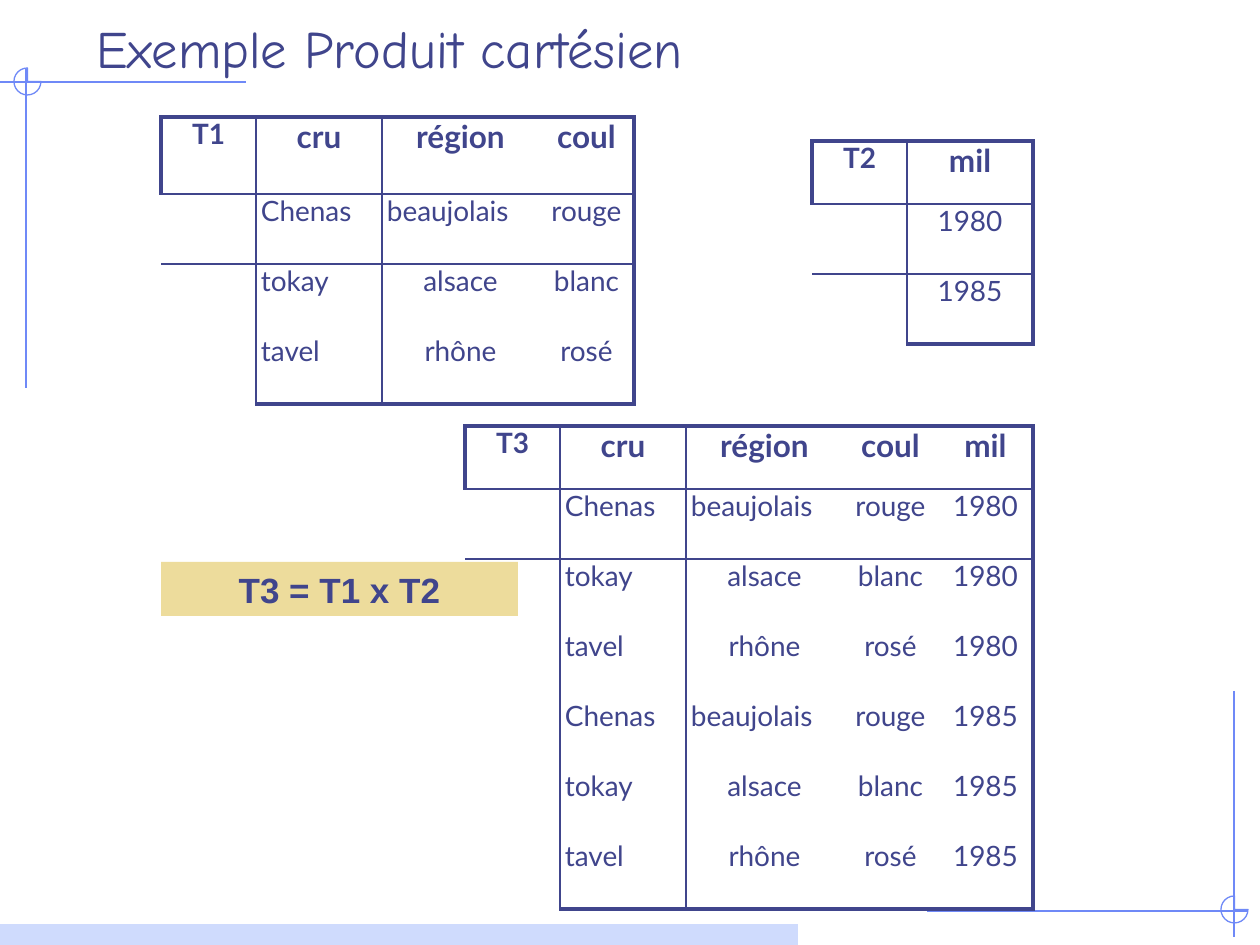
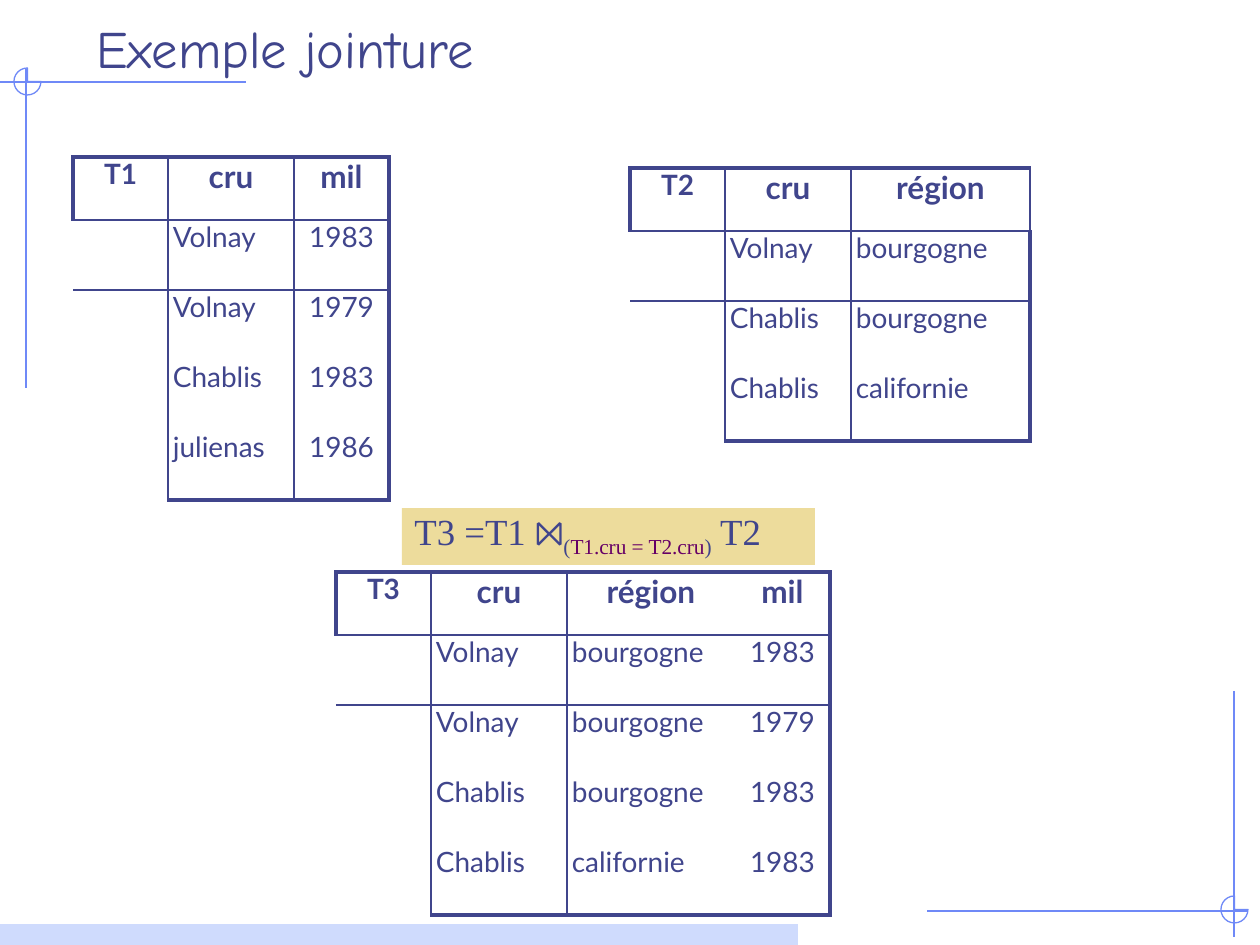
import pptx
import pptx.dml.color
import pptx.enum.shapes
import pptx.enum.text
import pptx.oxml
import pptx.oxml.ns
import pptx.util

SHAPE = pptx.enum.shapes.MSO_SHAPE
ALIGN = pptx.enum.text.PP_ALIGN
ANCHOR = pptx.enum.text.MSO_ANCHOR

SLIDES = [
    {
        "title": "Exemple Produit cartésien",
        "relations": [
            {"at": (161, 117), "widths": (95, 126, 157, 95), "header_height": 77,
             "rows": [("T1", "cru", "région", "coul"),
                      ("", "Chenas", "beaujolais", "rouge"),
                      ("", "tokay", "alsace", "blanc"),
                      ("", "tavel", "rhône", "rosé")]},
            {"at": (812, 141), "widths": (95, 126),
             "rows": [("T2", "mil"), ("", "1980"), ("", "1985")]},
            {"at": (465, 426), "widths": (95, 126, 157, 95, 95),
             "rows": [("T3", "cru", "région", "coul", "mil"),
                      ("", "Chenas", "beaujolais", "rouge", "1980"),
                      ("", "tokay", "alsace", "blanc", "1980"),
                      ("", "tavel", "rhône", "rosé", "1980"),
                      ("", "Chenas", "beaujolais", "rouge", "1985"),
                      ("", "tokay", "alsace", "blanc", "1985"),
                      ("", "tavel", "rhône", "rosé", "1985")]},
        ],
        "formula": {"at": (161, 562, 357, 54), "align": ALIGN.CENTER, "anchor": ANCHOR.TOP,
                    "runs": [("T3 = T1 x T2", "product")]},
    },
    {
        "title": "Exemple jointure",
        "relations": [
            {"at": (73, 157), "widths": (95, 126, 95),
             "rows": [("T1", "cru", "mil"),
                      ("", "Volnay", "1983"),
                      ("", "Volnay", "1979"),
                      ("", "Chablis", "1983"),
                      ("", "julienas", "1986")]},
            {"at": (630, 168), "widths": (95, 126, 179), "header_right": 1,
             "rows": [("T2", "cru", "région"),
                      ("", "Volnay", "bourgogne"),
                      ("", "Chablis", "bourgogne"),
                      ("", "Chablis", "californie")]},
            {"at": (336, 572), "widths": (95, 136, 168, 95),
             "rows": [("T3", "cru", "région", "mil"),
                      ("", "Volnay", "bourgogne", "1983"),
                      ("", "Volnay", "bourgogne", "1979"),
                      ("", "Chablis", "bourgogne", "1983"),
                      ("", "Chablis", "californie", "1983")]},
        ],
        "formula": {"at": (402, 508, 413, 57), "align": ALIGN.LEFT, "anchor": ANCHOR.BOTTOM,
                    "runs": [("T3 =T1 ", "join"), ("⨝", "join_sign"), ("(", "subscript"),
                             ("T1.cru = T2.cru", "condition"), (")", "subscript"),
                             (" T2", "join")]},
    },
]
JUSTIFIED_COLUMNS = ("cru", "région")
CENTRED_REGIONS = ("alsace", "rhône")

GUIDES = [(246, 82, 0, 82), (26, 69, 26, 388), (1234, 691, 1234, 937), (1247, 911, 927, 911)]
DIALS = [(14, 68, 27, 27), (1221, 896, 27, 27)]
FOOTER_BAND = (0, 924, 798, 21)
TITLE_AREA = (84, 1, 1144, 84)
HEADER_HEIGHT, ROW_HEIGHT, CELL_INSET = 63, 70, 5

THEME = {
    "ink": "40458C", "guide": "6F89F7", "band": "CFDBFD", "formula": "EDDC9C",
    "thick": 2.25, "thin": 1, "guide_width": 0.75,
    "table_style": "{2D5ABB26-0587-4C30-8999-92F81FD0307C}",
    "type": {
        "title": {"name": "Comic Neue", "size": 30},
        "label": {"name": "Lato", "size": 16, "bold": True},
        "heading": {"name": "Lato", "size": 18, "bold": True},
        "value": {"name": "Lato", "size": 16},
        "product": {"name": "Arial", "size": 20, "bold": True},
        "join": {"name": "Times New Roman", "size": 21},
        "join_sign": {"name": "Cambria", "size": 20},
        "subscript": {"name": "Times New Roman", "size": 21, "baseline": -25000},
        "condition": {"name": "Times New Roman", "size": 21, "baseline": -25000,
                      "color": "660066"},
    },
}


def px(*lengths):
    return [round(length * 914400 / 126) for length in lengths]


def rgb(code):
    return pptx.dml.color.RGBColor.from_string(code)


def set_all(target, values):
    for key, value in values.items():
        setattr(target, key, value)


def write(frame, runs, align):
    paragraph = frame.paragraphs[0]
    paragraph.alignment = align
    for text, role in runs:
        style = dict(THEME["type"][role])
        color = style.pop("color", THEME["ink"])
        baseline = style.pop("baseline", None)
        style["size"] = pptx.util.Pt(style["size"])
        run = paragraph.add_run()
        run.text = text
        set_all(run.font, style)
        run.font.color.rgb = rgb(color)
        if baseline:
            run.font._element.set("baseline", str(baseline))


def draw_shape(slide, kind, area, fill=None, line=None):
    shape = slide.shapes.add_shape(kind, *px(*area))
    shape.shadow.inherit = False
    if fill:
        shape.fill.solid()
        shape.fill.fore_color.rgb = rgb(fill)
    else:
        shape.fill.background()
    if line:
        shape.line.color.rgb = rgb(line)
        shape.line.width = pptx.util.Pt(THEME["guide_width"])
    else:
        shape.line.fill.background()
    return shape


def draw_frame(slide, title):
    for guide in GUIDES:
        line = slide.shapes.add_connector(pptx.enum.shapes.MSO_CONNECTOR.STRAIGHT, *px(*guide))
        line.line.color.rgb = rgb(THEME["guide"])
        line.line.width = pptx.util.Pt(THEME["guide_width"])
        effects = pptx.oxml.ns.qn("a:effectLst")
        line._element.spPr.append(line._element.makeelement(effects, {}))
    for dial in DIALS:
        draw_shape(slide, SHAPE.PIE, dial, line=THEME["guide"])
    draw_shape(slide, SHAPE.RECTANGLE, FOOTER_BAND, fill=THEME["band"])
    heading = slide.shapes.add_textbox(*px(*TITLE_AREA)).text_frame
    set_all(heading, {"word_wrap": True, "vertical_anchor": ANCHOR.BOTTOM})
    write(heading, [(title, "title")], ALIGN.LEFT)


def vertical_rule(row, edge, column_count, header_right):
    if edge == 0:
        return THEME["thick"] if row == 0 else 0
    if edge == column_count:
        return header_right if row == 0 else THEME["thick"]
    return THEME["thin"] if edge <= 2 else 0


def horizontal_rule(edge, column, row_count):
    if edge == 0:
        return THEME["thick"]
    if edge == row_count:
        return THEME["thick"] if column else 0
    return THEME["thin"] if edge <= 2 else 0


def draw_borders(cell, widths):
    properties = cell._tc.get_or_add_tcPr()
    for side, width in widths.items():
        fill = (f'<a:solidFill><a:srgbClr val="{THEME["ink"]}"/></a:solidFill>'
                if width else "<a:noFill/>")
        properties.append(pptx.oxml.parse_xml(
            f'<a:ln{side} {pptx.oxml.ns.nsdecls("a")} w="{pptx.util.Pt(width)}">'
            f"{fill}</a:ln{side}>"))


def draw_relation(slide, relation):
    rows, widths = relation["rows"], relation["widths"]
    header_right = relation.get("header_right", THEME["thick"])
    heights = [relation.get("header_height", HEADER_HEIGHT)] + [ROW_HEIGHT] * (len(rows) - 1)
    frame = slide.shapes.add_table(len(rows), len(widths),
                                   *px(*relation["at"], sum(widths), sum(heights)))
    table = frame.table
    set_all(table, {"first_row": False, "horz_banding": False})
    for style in frame._element.iter(pptx.oxml.ns.qn("a:tableStyleId")):
        style.text = THEME["table_style"]
    for column, width in zip(table.columns, px(*widths)):
        column.width = width
    for row, height in zip(table.rows, px(*heights)):
        row.height = height
    for r, entries in enumerate(rows):
        for c, entry in enumerate(entries):
            cell = table.cell(r, c)
            inset = px(CELL_INSET if r else 0)[0]
            set_all(cell, {"margin_left": inset, "margin_right": inset,
                           "margin_top": 0, "margin_bottom": 0})
            draw_borders(cell, {
                "L": vertical_rule(r, c, len(widths), header_right),
                "R": vertical_rule(r, c + 1, len(widths), header_right),
                "T": horizontal_rule(r, c, len(rows)),
                "B": horizontal_rule(r + 1, c, len(rows)),
            })
            cell.fill.background()
            if entry:
                justified = r and rows[0][c] in JUSTIFIED_COLUMNS and entry not in CENTRED_REGIONS
                role = "value" if r else "heading" if c else "label"
                write(cell.text_frame, [(entry, role)],
                      ALIGN.JUSTIFY if justified else ALIGN.CENTER)


def draw_formula(slide, formula):
    box = draw_shape(slide, SHAPE.RECTANGLE, formula["at"], fill=THEME["formula"])
    set_all(box.text_frame, {"word_wrap": True, "vertical_anchor": formula["anchor"]})
    write(box.text_frame, formula["runs"], formula["align"])


def main():
    deck = pptx.Presentation()
    set_all(deck, dict(zip(("slide_width", "slide_height"), px(1260, 945))))
    for content in SLIDES:
        slide = deck.slides.add_slide(deck.slide_layouts[6])
        draw_frame(slide, content["title"])
        for relation in content["relations"]:
            draw_relation(slide, relation)
        draw_formula(slide, content["formula"])
    deck.save("out.pptx")


if __name__ == "__main__":
    main()
